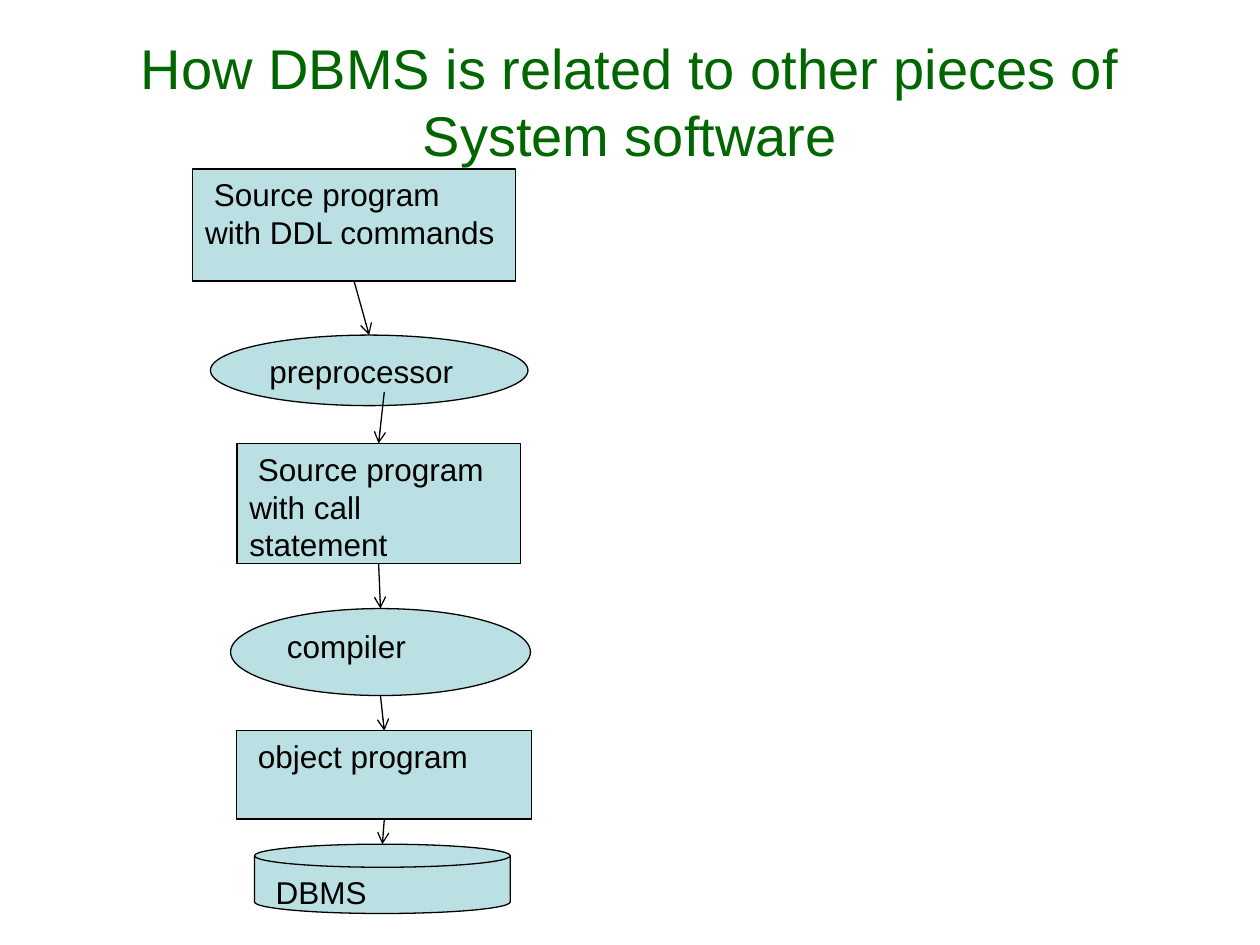
from pptx import Presentation, util as u
from pptx.dml.color import RGBColor
from pptx.enum import shapes, text
from pptx.oxml.ns import qn
from lxml import etree

COLUMNS, ROWS = 100, 75
CELL = u.Inches(0.1)
FONT = "Arial"
COLOURS = {"title": "006600", "stage": "BBE0E3", "ink": "000000"}
TITLE_BOX = (5, 3, 90, 10)
FLOW_BOX = (15.3, 13.4, 26.9, 59.1)

RECT = shapes.MSO_SHAPE.RECTANGLE
OVAL = shapes.MSO_SHAPE.OVAL
DISK = shapes.MSO_SHAPE.FLOWCHART_MAGNETIC_DISK
STAGES = [
    (RECT, [" Source program", "with DDL commands"], (0, 0, 25.6, 8.9)),
    (OVAL, ["preprocessor"], (1.4, 13.2, 25.2, 5.6)),
    (RECT, [" Source program with call statement"], (3.5, 21.8, 22.5, 9.5)),
    (OVAL, ["compiler"], (3, 34.9, 23.8, 6.9)),
    (RECT, [" object program"], (3.5, 44.6, 23.4, 7)),
    (DISK, [" DBMS"], (4.9, 53.6, 20.3, 5.5)),
]
PREPROCESSOR_EXIT = (15.2, 17.7)


def cells(*counts):
    """Turn counts of grid cells into lengths."""
    return [u.Emu(round(count * CELL)) for count in counts]


def colour(name):
    """Look up a named colour."""
    return RGBColor.from_string(COLOURS[name])


def add_run(paragraph, words, size, ink):
    """Add one formatted run to a paragraph."""
    run = paragraph.add_run()
    run.text = words
    run.font.name, run.font.size = FONT, u.Pt(size)
    run.font.color.rgb = colour(ink)


def add_title(slide, box, words):
    """Place and format the slide title in its box."""
    title = slide.shapes.title
    title.left, title.top, title.width, title.height = cells(*box)
    frame = title.text_frame
    frame.word_wrap = True
    frame.auto_size = text.MSO_AUTO_SIZE.NONE
    frame.vertical_anchor = text.MSO_ANCHOR.MIDDLE
    paragraph = frame.paragraphs[0]
    paragraph.alignment = text.PP_ALIGN.CENTER
    paragraph.line_spacing = 1
    add_run(paragraph, words, 32, "title")


def add_stage(slide, box, kind, lines, place):
    """Draw one stage of the flow, offset from the flow's box."""
    left, top, width, height = place
    stage = slide.shapes.add_shape(
        kind, *cells(box[0] + left, box[1] + top, width, height))
    stage.shadow.inherit = False
    stage.fill.solid()
    stage.fill.fore_color.rgb = colour("stage")
    stage.line.color.rgb = colour("ink")
    stage.line.width = u.Pt(0.75)
    frame = stage.text_frame
    frame.word_wrap = True
    frame.vertical_anchor = text.MSO_ANCHOR.TOP
    paragraph = frame.paragraphs[0]
    paragraph.alignment = text.PP_ALIGN.LEFT
    for index, line in enumerate(lines):
        if index:
            paragraph.add_line_break()
        add_run(paragraph, line, 18, "ink")
    return stage


def add_arrow(slide, upper, lower, start=None):
    """Point an arrow from the foot of one stage to the top of the next."""
    start = start or (upper.left + upper.width // 2, upper.top + upper.height)
    end = (lower.left + lower.width // 2, lower.top)
    arrow = slide.shapes.add_connector(
        shapes.MSO_CONNECTOR.STRAIGHT, *start, *end)
    if upper.auto_shape_type == RECT:
        arrow.begin_connect(upper, 2)
    if lower.auto_shape_type == RECT:
        arrow.end_connect(lower, 0)
    arrow.line.color.rgb = colour("ink")
    arrow.line.width = u.Pt(0.75)
    etree.SubElement(arrow.line._get_or_add_ln(), qn("a:tailEnd"), type="arrow")
    etree.SubElement(arrow._element.spPr, qn("a:effectLst"))


def add_flow(slide, box):
    """Draw the chain of stages and the arrows between them."""
    chain = [add_stage(slide, box, *stage) for stage in STAGES]
    preprocessor_exit = cells(box[0] + PREPROCESSOR_EXIT[0],
                              box[1] + PREPROCESSOR_EXIT[1])
    for index, (upper, lower) in enumerate(zip(chain, chain[1:])):
        add_arrow(slide, upper, lower, preprocessor_exit if index == 1 else None)


def main():
    """Build the slide and save it."""
    deck = Presentation()
    deck.slide_width, deck.slide_height = cells(COLUMNS, ROWS)
    slide = deck.slides.add_slide(deck.slide_layouts[5])
    add_title(slide, TITLE_BOX,
              "How DBMS is related to other pieces of System software")
    add_flow(slide, FLOW_BOX)
    deck.save("out.pptx")


if __name__ == "__main__":
    main()
